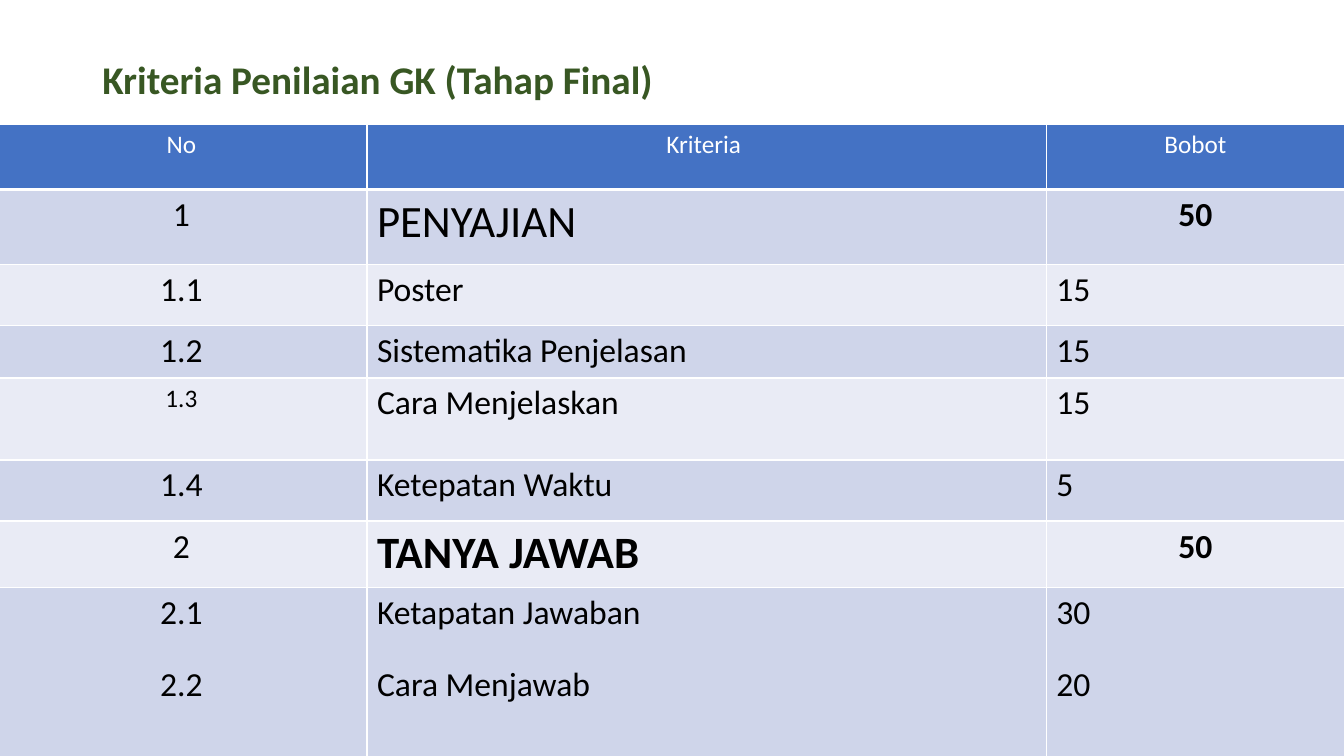
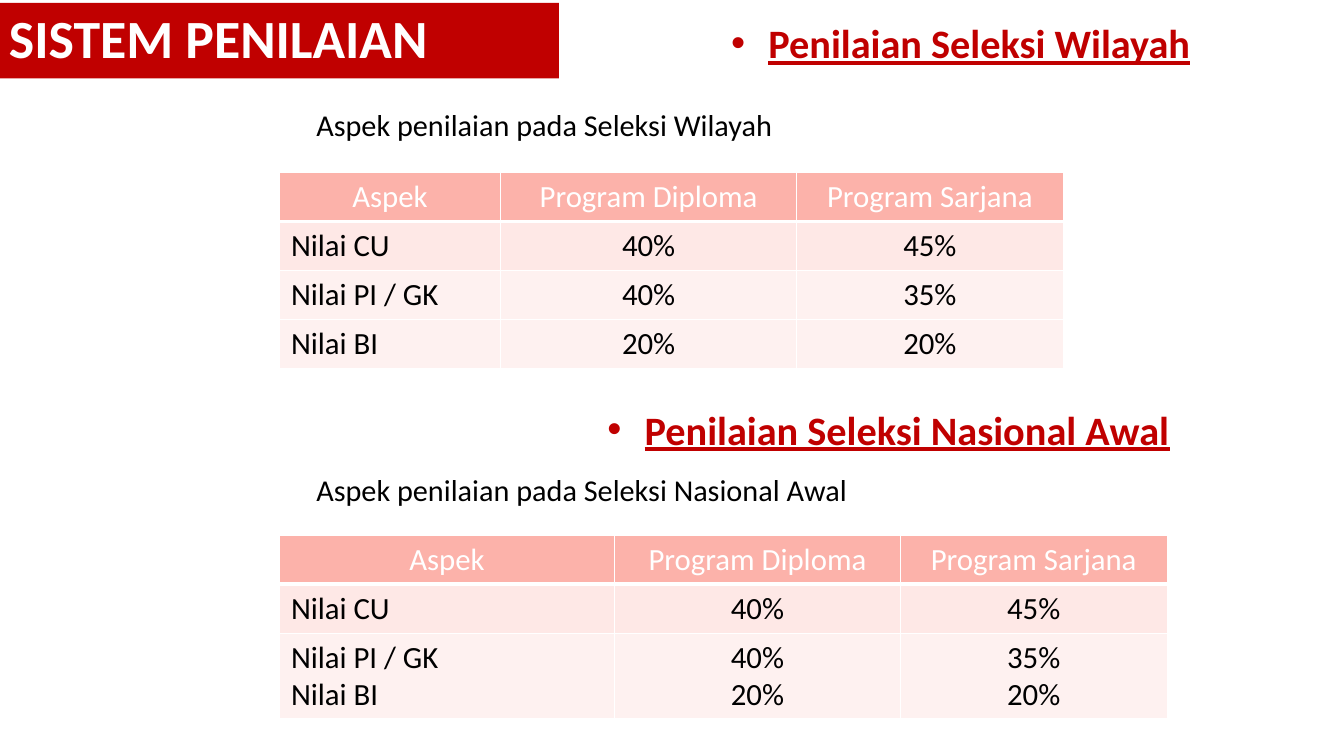
from dataclasses import dataclass, replace
from typing import Any, Optional

import lxml.etree as etree
import pptx
import pptx.dml.color
import pptx.enum.shapes
import pptx.enum.text
import pptx.oxml.ns
import pptx.util

Pt = pptx.util.Pt
RGBColor = pptx.dml.color.RGBColor
Align = pptx.enum.text.PP_ALIGN
Anchor = pptx.enum.text.MSO_ANCHOR
qn = pptx.oxml.ns.qn

WHITE = RGBColor(0xFF, 0xFF, 0xFF)
BLACK = RGBColor(0x00, 0x00, 0x00)
GREEN = RGBColor(0x38, 0x57, 0x23)
RED = RGBColor(0xC0, 0x00, 0x00)
BLUE = RGBColor(0x44, 0x72, 0xC4)
BLUE_MID = RGBColor(0xCF, 0xD5, 0xEA)
BLUE_PALE = RGBColor(0xE9, 0xEB, 0xF5)
PINK = RGBColor(0xFC, 0xB2, 0xAA)
PINK_MID = RGBColor(0xFE, 0xE8, 0xE6)
PINK_PALE = RGBColor(0xFE, 0xF1, 0xF0)

FONT = "Calibri"
DEFAULT_INSETS = (7.2, 3.6)
WIDE_INSETS = (8.5, 4.2)


@dataclass(frozen=True)
class TextStyle:
    size: float
    color: RGBColor = BLACK
    bold: bool = False
    underline: bool = False
    align: Align = Align.LEFT
    line_spacing: float = 1.0
    gap: float = 0
    indent: float = 0
    hanging: float = 0
    bullet: str = ""


@dataclass(frozen=True)
class Box:
    left: float
    top: float
    width: float
    height: float


@dataclass(frozen=True)
class Cell:
    text: str
    style: TextStyle


@dataclass(frozen=True)
class Row:
    height: float
    fill: RGBColor
    cells: tuple[Cell, ...]


@dataclass(frozen=True)
class Section:
    """A bulleted heading, its caption and its table of weights."""
    heading: str
    heading_box: Box
    caption: str
    caption_top: float
    table_top: float
    columns: tuple[float, ...]
    rows: tuple[Row, ...]


TITLE = TextStyle(28, GREEN, bold=True, line_spacing=0.9)
BAND_TITLE = replace(TITLE, size=38.4, color=WHITE)
HEADING = TextStyle(28.8, RED, bold=True, underline=True, align=Align.CENTER,
                    indent=43.2, hanging=26.6, bullet="•")
CAPTION = TextStyle(21.6, indent=72)
CRITERIA_HEAD = TextStyle(18, WHITE, align=Align.CENTER)
BODY = TextStyle(24, gap=22)
BODY_CENTERED = replace(BODY, align=Align.CENTER)
SMALL_CENTERED = replace(BODY_CENTERED, size=18)
TOTAL = replace(BODY_CENTERED, bold=True)
GROUP = TextStyle(32)
ASPECT_HEAD = TextStyle(22, WHITE, align=Align.CENTER)
ASPECT = TextStyle(22)
WEIGHT = replace(ASPECT, align=Align.CENTER)


def make_row(height: float, fill: RGBColor, texts: tuple[str, ...],
             *styles: TextStyle) -> Row:
    return Row(height, fill, tuple(map(Cell, texts, styles)))


def criteria_row(height: float, fill: RGBColor, *texts: str,
                 number: TextStyle = BODY_CENTERED) -> Row:
    return make_row(height, fill, texts, number, BODY, BODY)


def group_row(height: float, fill: RGBColor, *texts: str,
              bold: bool = False) -> Row:
    return make_row(height, fill, texts, BODY_CENTERED,
                    replace(GROUP, bold=bold), TOTAL)


def aspect_row(height: float, fill: RGBColor, *texts: str) -> Row:
    return make_row(height, fill, texts, ASPECT, WEIGHT, WEIGHT)


CRITERIA_COLUMNS = (265, 485.3, 213)
CRITERIA_ROWS = (
    make_row(46.5, BLUE, ("No", "Kriteria ", "Bobot"), *[CRITERIA_HEAD] * 3),
    group_row(53.3, BLUE_MID, "1", "PENYAJIAN", "50"),
    criteria_row(43.7, BLUE_PALE, "1.1", "Poster", "15"),
    criteria_row(37.7, BLUE_MID, "1.2", "Sistematika Penjelasan", "15"),
    criteria_row(58.5, BLUE_PALE, "1.3", "Cara Menjelaskan", "15",
                 number=SMALL_CENTERED),
    criteria_row(43.7, BLUE_MID, "1.4", "Ketepatan Waktu", "5"),
    group_row(47.7, BLUE_PALE, "2", "TANYA JAWAB", "50", bold=True),
    criteria_row(135.4, BLUE_MID, "2.1\n2.2",
                 "Ketapatan Jawaban\nCara Menjawab", "30\n20"),
)

ASPECT_HEIGHT = 35
SHARED_ROWS = (
    make_row(ASPECT_HEIGHT, PINK,
             ("Aspek", "Program Diploma", "Program Sarjana"),
             *[ASPECT_HEAD] * 3),
    aspect_row(ASPECT_HEIGHT, PINK_MID, "Nilai CU", "40%", "45%"),
)
SECTIONS = (
    Section(
        "Penilaian Seleksi Wilayah", Box(399, 3.6, 558, 54),
        "Aspek penilaian pada Seleksi Wilayah", 72.7,
        123.3, (158.4, 211, 190.8),
        SHARED_ROWS + (
            aspect_row(ASPECT_HEIGHT, PINK_PALE, "Nilai PI / GK", "40%", "35%"),
            aspect_row(ASPECT_HEIGHT, PINK_PALE, "Nilai BI", "20%", "20%"),
        ),
    ),
    Section(
        "Penilaian Seleksi Nasional Awal", Box(295.2, 279.4, 662.4, 54),
        "Aspek penilaian pada Seleksi Nasional Awal", 333.4,
        382.3, (239.8, 203.8, 190.8),
        SHARED_ROWS + (
            aspect_row(60.5, PINK_PALE, "Nilai PI / GK\nNilai BI",
                       "40%\n20%", "35%\n20%"),
        ),
    ),
)


def apply_format(target: Any, values: dict[str, Any]) -> None:
    for attribute, value in values.items():
        setattr(target, attribute, value)


def inset_values(insets: tuple[float, float]) -> dict[str, Any]:
    side, end = map(Pt, insets)
    return {"margin_left": side, "margin_right": side,
            "margin_top": end, "margin_bottom": end}


def write_text(frame: Any, text: str, style: TextStyle) -> None:
    """Fill the frame with one paragraph per line of text."""
    for index, line in enumerate(text.split("\n")):
        paragraph = frame.add_paragraph() if index else frame.paragraphs[0]
        properties = paragraph._p.get_or_add_pPr()
        if style.indent:
            properties.set("marL", str(int(Pt(style.indent))))
            properties.set("indent", str(-int(Pt(style.hanging))))
        if style.bullet:
            etree.SubElement(properties, qn("a:buFont"), typeface="Arial")
            etree.SubElement(properties, qn("a:buChar"), char=style.bullet)
        apply_format(paragraph, {
            "alignment": style.align,
            "line_spacing": style.line_spacing,
            "space_before": Pt(style.gap if index and style.size == BODY.size
                               else 0),
        })
        run = paragraph.add_run()
        run.text = line
        apply_format(run.font, {
            "name": FONT, "size": Pt(style.size),
            "bold": style.bold, "underline": style.underline,
        })
        run.font.color.rgb = style.color


def add_text(slide: Any, box: Box, text: str, style: TextStyle,
             anchor: Anchor = Anchor.MIDDLE,
             insets: tuple[float, float] = DEFAULT_INSETS,
             fill: Optional[RGBColor] = None) -> None:
    """Add a text box, or a filled rectangle when a fill is given."""
    bounds = map(Pt, (box.left, box.top, box.width, box.height))
    if fill is None:
        holder = slide.shapes.add_textbox(*bounds)
    else:
        holder = slide.shapes.add_shape(
            pptx.enum.shapes.MSO_SHAPE.RECTANGLE, *bounds)
        holder.shadow.inherit = False
        holder.fill.solid()
        holder.fill.fore_color.rgb = fill
        holder.line.fill.background()
    apply_format(holder.text_frame, {
        "word_wrap": True, "vertical_anchor": anchor, **inset_values(insets)})
    write_text(holder.text_frame, text, style)


def add_borders(cell: Any, bottom: float) -> None:
    properties = cell._tc.get_or_add_tcPr()
    for side, width in {"L": 1, "R": 1, "T": 1, "B": bottom}.items():
        border = etree.SubElement(properties, qn(f"a:ln{side}"),
                                  w=str(int(Pt(width))))
        paint = etree.SubElement(border, qn("a:solidFill"))
        etree.SubElement(paint, qn("a:srgbClr"), val=str(WHITE))


def add_grid(slide: Any, left: float, top: float, columns: tuple[float, ...],
             rows: tuple[Row, ...], insets: tuple[float, float]) -> None:
    height = sum(row.height for row in rows)
    table = slide.shapes.add_table(
        len(rows), len(columns),
        *map(Pt, (left, top, sum(columns), height))).table
    for column, width in zip(table.columns, columns):
        column.width = Pt(width)
    for row_index, row in enumerate(rows):
        table.rows[row_index].height = Pt(row.height)
        for column_index, content in enumerate(row.cells):
            cell = table.cell(row_index, column_index)
            add_borders(cell, bottom=1 if row_index else 3)
            cell.fill.solid()
            cell.fill.fore_color.rgb = row.fill
            apply_format(cell, inset_values(insets))
            write_text(cell.text_frame, content.text, content.style)


def build_criteria(slide: Any) -> None:
    add_text(slide, Box(66, 28.8, 828, 59.8),
             "Kriteria Penilaian GK (Tahap Final)", TITLE)
    add_grid(slide, -2.9, 88.9, CRITERIA_COLUMNS, CRITERIA_ROWS,
             DEFAULT_INSETS)


def build_scoring(slide: Any) -> None:
    add_text(slide, Box(-0.7, 2, 400, 54), "SISTEM PENILAIAN", BAND_TITLE,
             fill=RED)
    for section in SECTIONS:
        add_text(slide, section.heading_box, section.heading, HEADING,
                 insets=WIDE_INSETS)
        add_text(slide, Box(146.9, section.caption_top, 782.6, 33.5),
                 section.caption, CAPTION, anchor=Anchor.TOP)
        add_grid(slide, 199.4, section.table_top, section.columns,
                 section.rows, WIDE_INSETS)


def main() -> None:
    deck = pptx.Presentation()
    apply_format(deck, {"slide_width": Pt(960), "slide_height": Pt(540)})
    blank = deck.slide_layouts[6]
    for build in (build_criteria, build_scoring):
        build(deck.slides.add_slide(blank))
    deck.save("out.pptx")


if __name__ == "__main__":
    main()
